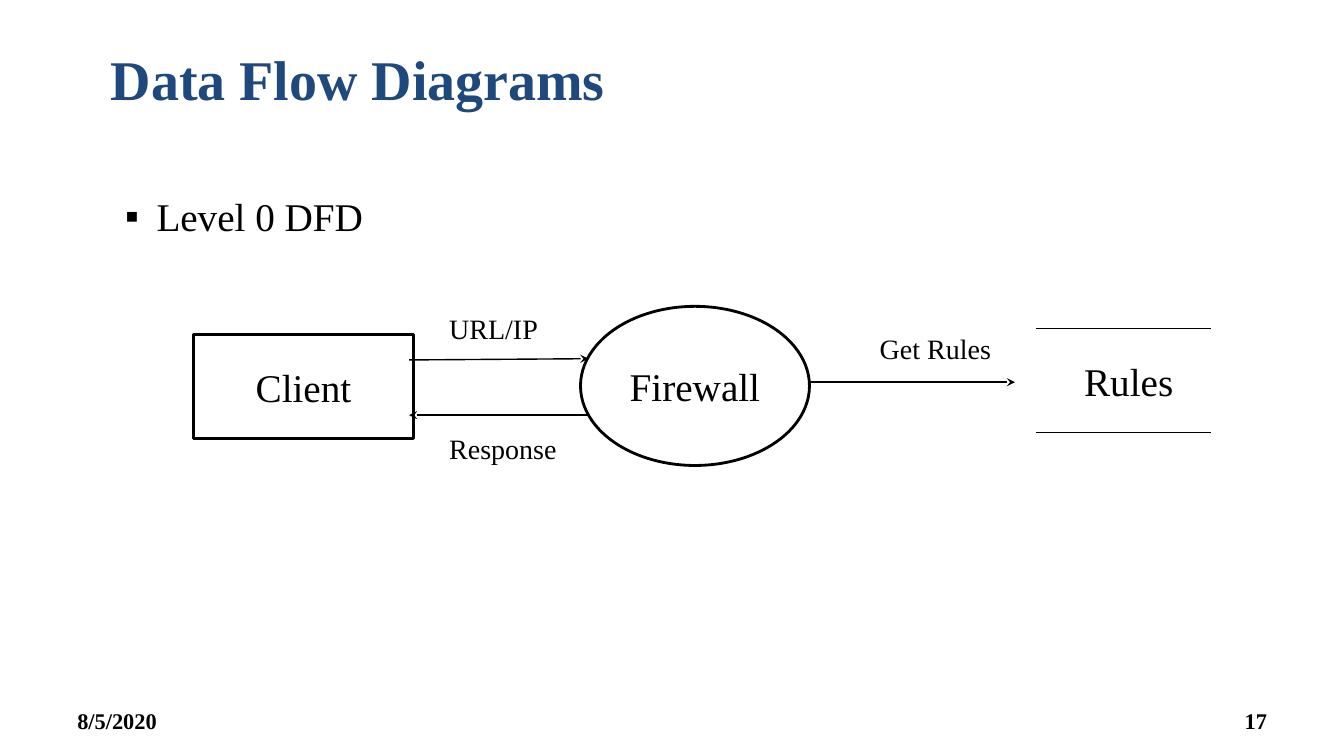
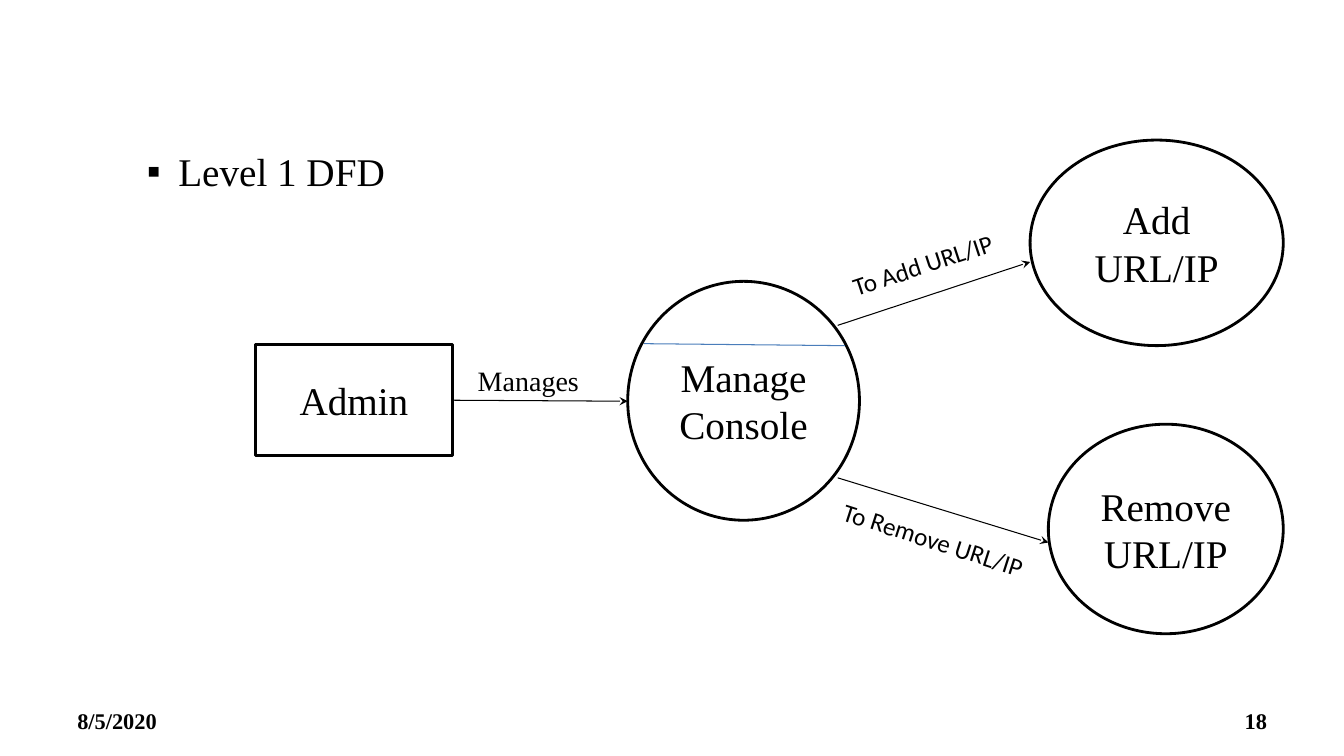
from lxml import etree
from pptx import Presentation
from pptx.dml.color import RGBColor
from pptx.enum.shapes import MSO_CONNECTOR, MSO_SHAPE
from pptx.enum.text import MSO_ANCHOR, MSO_AUTO_SIZE, PP_ALIGN
from pptx.oxml.ns import qn
from pptx.util import Cm, Pt

RECT, OVAL = MSO_SHAPE.RECTANGLE, MSO_SHAPE.OVAL
LINE = MSO_CONNECTOR.STRAIGHT
TOP, MID = MSO_ANCHOR.TOP, MSO_ANCHOR.MIDDLE
LEFT, CENTER, RIGHT = PP_ALIGN.LEFT, PP_ALIGN.CENTER, PP_ALIGN.RIGHT
FIXED = MSO_AUTO_SIZE.NONE

BLACK, WHITE, NAVY, BLUE = "000000", "FFFFFF", "1F497D", "4A7DBA"
SERIF = {"name": "Times New Roman", "bold": False}
HEAD = {**SERIF, "size": Pt(40), "bold": True}
BODY = {**SERIF, "size": Pt(28)}
NOTE = {**SERIF, "size": Pt(20)}
SLANT = {"name": "Calibri", "size": Pt(18)}
FOOT = {**SERIF, "size": Pt(16), "bold": True}

DATE = "8/5/2020"
SLIDES = [
    {
        "title": "Data Flow Diagrams",
        "level": "Level 0 DFD",
        "spot": (2.9, 4.72),
        "page": "17",
        "nodes": [
            ("Client", RECT, (4.88, 8.43, 5.54, 2.62)),
            ("Firewall", OVAL, (14.63, 7.72, 5.77, 4.01)),
        ],
        "labels": [
            ("Rules", (26.5, 8.89, 3.32, 1.45), BODY, RIGHT, 0),
            ("Get Rules", (21.92, 8.23, 3.61, 1.12), NOTE, LEFT, 0),
            ("URL/IP", (11.07, 7.72, 2.74, 1.12), NOTE, LEFT, 0),
            ("Response", (11.07, 10.74, 3.56, 1.12), NOTE, LEFT, 0),
        ],
        "width": 1,
        "arrows": [
            ((10.31, 9.07, 14.83, 9.04), None),
            ((14.83, 10.46, 10.31, 10.46), None),
            ((20.4, 9.63, 25.58, 9.63), None),
        ],
        "rules": [
            ((26.11, 8.28, 30.51, 8.28), BLACK),
            ((26.11, 10.9, 30.51, 10.9), BLACK),
        ],
    },
    {
        "title": None,
        "level": "Level 1 DFD",
        "spot": (3.45, 3.58),
        "page": "18",
        "nodes": [
            ("Admin", RECT, (6.43, 8.69, 4.98, 2.79)),
            ("Manage\nConsole", OVAL, (15.82, 7.09, 5.84, 6.02)),
            ("Add URL/IP", OVAL, (25.96, 3.53, 6.38, 5.18)),
            ("Remove URL/IP", OVAL, (26.42, 10.69, 5.92, 5.28)),
        ],
        "labels": [
            ("Manages", (11.79, 9.04, 3.66, 1.12), NOTE, LEFT, 0),
            ("To Add URL/IP", (21.16, 6.1, 4.5, 1.02), SLANT, LEFT, -18.3),
            ("To Remove URL/IP", (20.9, 13.16, 5.74, 1.02), SLANT, LEFT, 17.8),
        ],
        "width": 0.75,
        "arrows": [
            ((11.41, 10.08, 15.82, 10.11), "Admin"),
            ((21.11, 8.2, 25.96, 6.6), None),
            ((21.11, 12.04, 26.42, 13.67), None),
        ],
        "rules": [((16.23, 8.66, 21.29, 8.71), BLUE)],
    },
]


def color(code):
    return RGBColor.from_string(code)


def cms(nums):
    return [Cm(num) for num in nums]


def add_xml(base, tag, **attrs):
    return etree.SubElement(base, qn(tag), attrs)


def write(shape, text, form, align=LEFT, anchor=TOP, ink=BLACK):
    frame = shape.text_frame
    frame.text = text
    frame.word_wrap = True
    frame.auto_size = FIXED
    frame.vertical_anchor = anchor
    for para in frame.paragraphs:
        para.alignment = align
        para.space_before = Pt(0)
        for run in para.runs:
            run.font.color.rgb = color(ink)
            for key, val in form.items():
                setattr(run.font, key, val)


def place(shape, box):
    for key, val in zip(("left", "top", "width", "height"), cms(box)):
        setattr(shape, key, val)


def add_level(shape, text, spot):
    place(shape, (*spot, 12.88, 1.45))
    write(shape, text, BODY)
    props = shape.text_frame.paragraphs[0]._p.get_or_add_pPr()
    props.set("marL", str(Cm(0.79)))
    props.set("indent", str(-Cm(0.79)))
    add_xml(add_xml(props, "a:buClr"), "a:srgbClr", val=BLACK)
    add_xml(props, "a:buFont", typeface="Arial")
    add_xml(props, "a:buChar", char="▪")


def add_node(slide, text, kind, box):
    node = slide.shapes.add_shape(kind, *cms(box))
    node.shadow.inherit = False
    node.fill.solid()
    node.fill.fore_color.rgb = color(WHITE)
    node.line.color.rgb = color(BLACK)
    node.line.width = Pt(2)
    write(node, text, BODY, CENTER, MID)
    return node


def add_label(slide, text, box, form, align, turn=0, anchor=TOP):
    label = slide.shapes.add_textbox(*cms(box))
    label.rotation = turn
    write(label, text, form, align, anchor)


def add_line(slide, ends, ink, width, arrow=False):
    line = slide.shapes.add_connector(LINE, *cms(ends))
    line.line.color.rgb = color(ink)
    line.line.width = Pt(width)
    props = line._element.spPr
    if arrow:
        add_xml(props.find(qn("a:ln")), "a:tailEnd", type="stealth")
    add_xml(props, "a:effectLst")
    return line


def build(deck, data):
    slide = deck.slides.add_slide(deck.slide_layouts[1])
    title, body = slide.placeholders
    if data["title"]:
        place(title, (2.54, 1, 28, 1.96))
        write(title, data["title"], HEAD, ink=NAVY)
    else:
        title._element.getparent().remove(title._element)
    add_level(body, data["level"], data["spot"])
    nodes = {node[0]: add_node(slide, *node) for node in data["nodes"]}
    for label in data["labels"]:
        add_label(slide, *label)
    for ends, start in data["arrows"]:
        line = add_line(slide, ends, BLACK, data["width"], True)
        if start:
            line.begin_connect(nodes[start], 3)
    for ends, ink in data["rules"]:
        add_line(slide, ends, ink, 0.75)
    for text, left, align in ((DATE, 1.7, LEFT), (data["page"], 24.28, RIGHT)):
        add_label(slide, text, (left, 17.65, 7.9, 1.02), FOOT, align, anchor=MID)


def main():
    deck = Presentation()
    deck.slide_width, deck.slide_height = cms((33.87, 19.05))
    for data in SLIDES:
        build(deck, data)
    deck.save("out.pptx")


if __name__ == "__main__":
    main()
